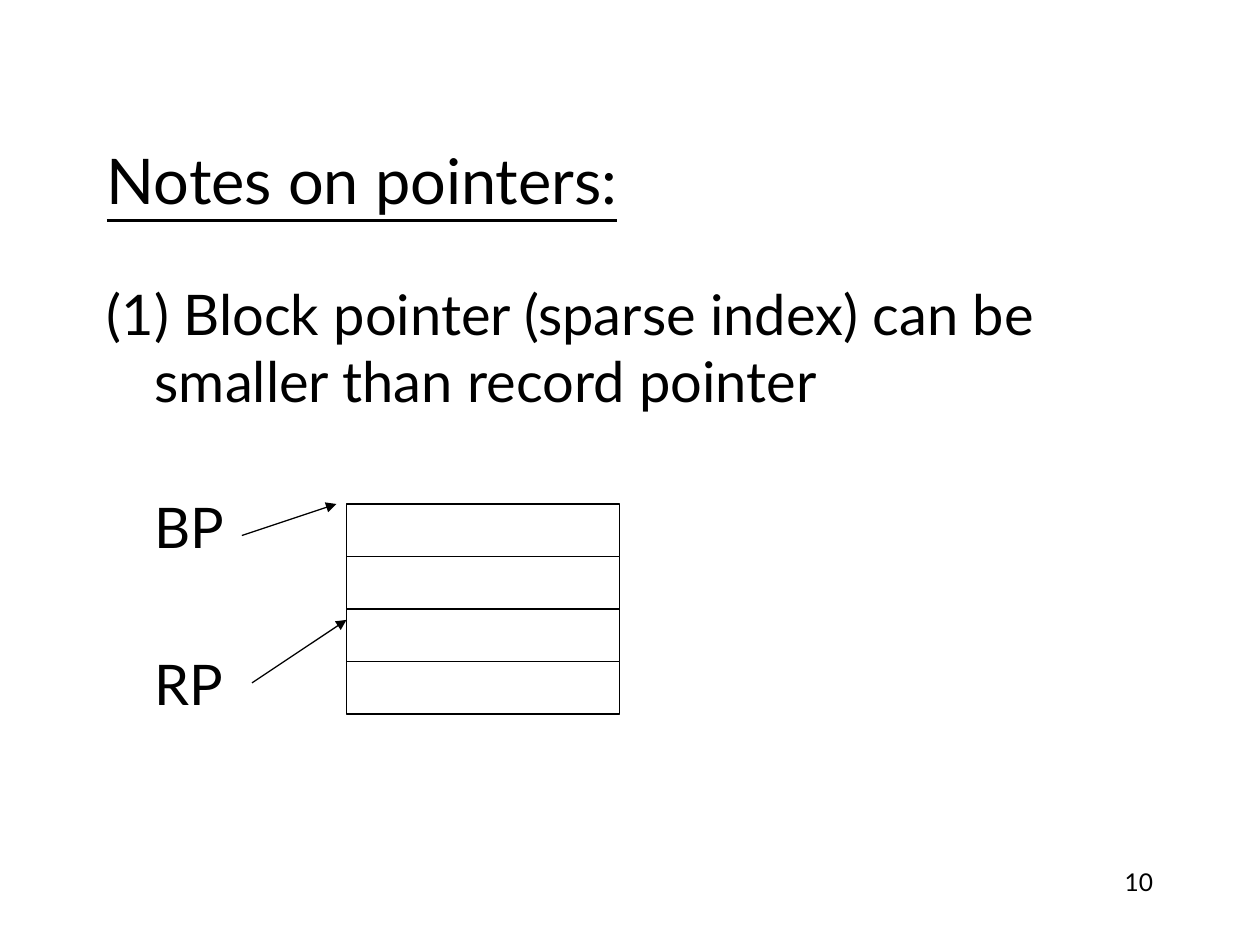
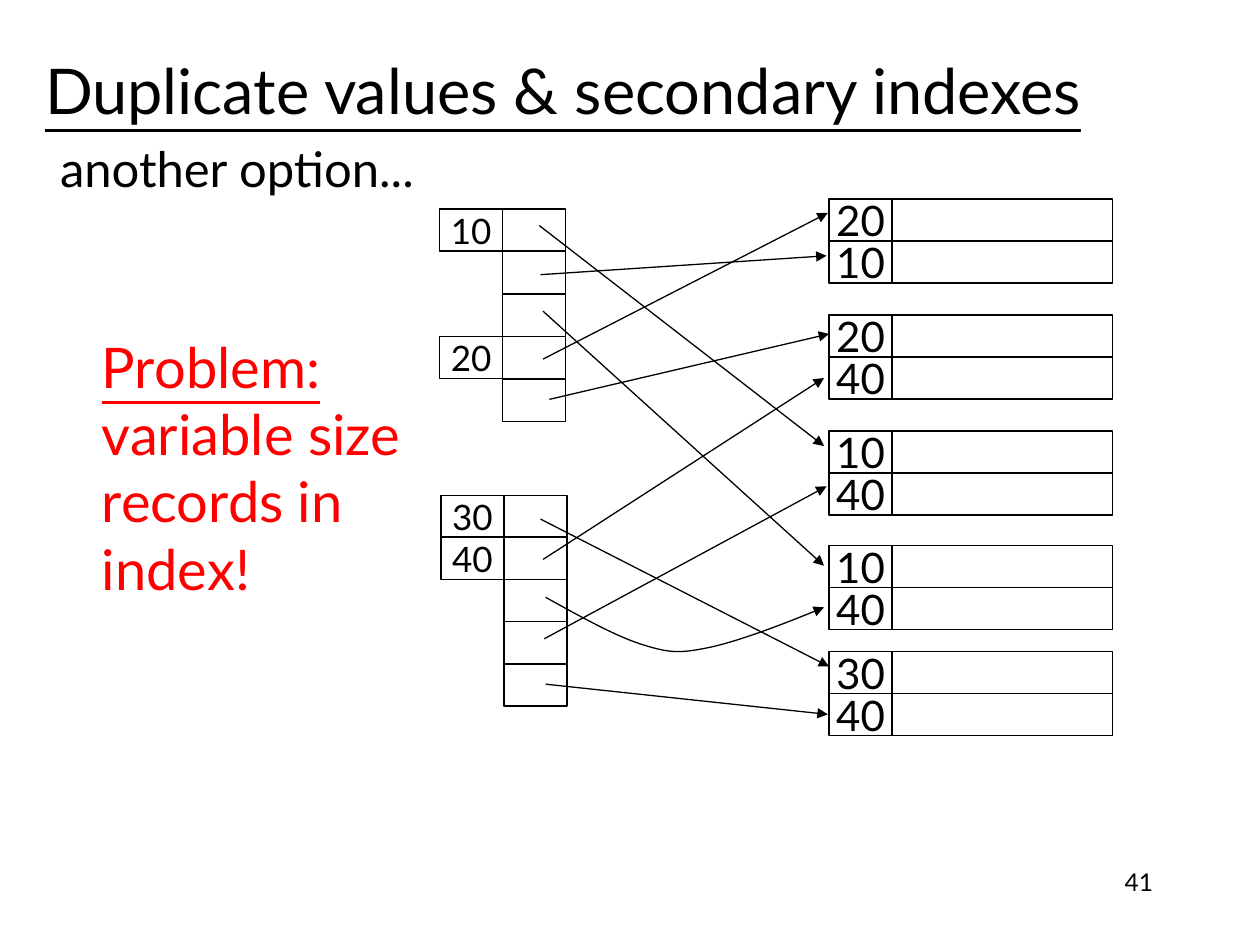
from dataclasses import dataclass
from typing import Any

import lxml.etree
import pptx
import pptx.dml.color
import pptx.enum.shapes
import pptx.enum.text
import pptx.oxml.ns
import pptx.util

Inches = pptx.util.Inches
Pt = pptx.util.Pt
Align = pptx.enum.text.PP_ALIGN
Anchor = pptx.enum.text.MSO_ANCHOR
qn = pptx.oxml.ns.qn

BLACK = pptx.dml.color.RGBColor(0x00, 0x00, 0x00)
WHITE = pptx.dml.color.RGBColor(0xFF, 0xFF, 0xFF)
RED = pptx.dml.color.RGBColor(0xFF, 0x00, 0x00)
FONT = "Lato"
THIN = Pt(0.75)
ROW = 1 / 3
KEY = 0.5

TITLE = {"size": Pt(36), "underline": True}
BODY = {"size": Pt(32)}
NOTE = {"size": Pt(28)}
FOOT = {"size": Pt(14)}
WARN = {"size": Pt(32), "color": RED}


@dataclass(frozen=True)
class Box:
    left: float
    top: float
    width: float
    height: float

    def place(self) -> tuple[int, ...]:
        return tuple(Inches(n) for n in (self.left, self.top, self.width, self.height))


@dataclass(frozen=True)
class Line:
    text: str
    before: float = 0
    indent: float = 0
    hang: float = 0
    under: bool = False


@dataclass(frozen=True)
class Stack:
    left: float
    top: float
    last: float
    keys: tuple[str, ...]


@dataclass(frozen=True)
class Block:
    top: float
    keys: tuple[str, str]


@dataclass(frozen=True)
class Arrow:
    x: float
    y: float
    to_x: float
    to_y: float


LINES = (
    Line("(1) Block pointer (sparse index) can be smaller than record pointer", indent=0.38, hang=0.38),
    Line("BP", before=45, indent=0.38),
    Line("RP", before=51, indent=0.38),
)
MARKS = (Arrow(2, 5.42, 2.75, 4.92), Arrow(1.92, 4.25, 2.67, 4))

ISSUE = (
    Line("Problem:", under=True),
    Line("variable size"),
    Line("records in"),
    Line("index!"),
)
STACKS = (
    Stack(3.49, 1.66, 3.01, ("10", "", "", "20", "")),
    Stack(3.5, 3.93, 5.27, ("30", "40", "", "", "")),
)
BLOCKS = (
    Block(1.58, ("20", "10")),
    Block(2.5, ("20", "40")),
    Block(3.42, ("10", "40")),
    Block(4.33, ("10", "40")),
    Block(5.17, ("30", "40")),
)
LINKS = (
    Arrow(4.28, 1.79, 6.54, 3.54),
    Arrow(4.29, 2.18, 6.56, 2.03),
    Arrow(4.31, 2.47, 6.54, 4.49),
    Arrow(4.31, 2.85, 6.57, 1.69),
    Arrow(4.36, 3.17, 6.58, 2.65),
    Arrow(4.29, 4.12, 6.58, 5.29),
    Arrow(4.31, 4.44, 6.54, 3),
    Arrow(4.33, 5.43, 6.57, 5.67),
    Arrow(4.32, 5.07, 6.56, 3.86),
)
CURVE = (
    (4.33, 4.74),
    (4.6, 4.89), (4.87, 5.04), (5.08, 5.11),
    (5.3, 5.18), (5.38, 5.19), (5.62, 5.14),
    (5.87, 5.09), (6.4, 4.88), (6.54, 4.82),
)


def apply(item: Any, form: dict[str, Any]) -> None:
    for name, value in form.items():
        if name == "color":
            item.color.rgb = value
        else:
            setattr(item, name, value)


def fill_text(frame: Any, lines: tuple[Line, ...], form: dict[str, Any], align: Any = Align.LEFT) -> None:
    for i, line in enumerate(lines):
        para = frame.paragraphs[0] if i == 0 else frame.add_paragraph()
        para.alignment = align
        if line.before:
            para.space_before = Pt(line.before)
        if line.indent:
            props = para._p.get_or_add_pPr()
            props.set("marL", str(Inches(line.indent)))
            props.set("indent", str(-Inches(line.hang)))
        run = para.add_run()
        run.text = line.text
        apply(run.font, {"name": FONT, "color": BLACK, "underline": line.under} | form)


def add_text(slide: Any, box: Box, lines: tuple[Line, ...], form: dict[str, Any],
             align: Any = Align.LEFT, anchor: Any = Anchor.MIDDLE, wrap: bool = True) -> None:
    frame = slide.shapes.add_textbox(*box.place()).text_frame
    apply(frame, {"word_wrap": wrap, "vertical_anchor": anchor})
    fill_text(frame, lines, form, align)


def add_cell(slide: Any, box: Box, text: str = "", size: float = 24) -> None:
    cell = slide.shapes.add_shape(pptx.enum.shapes.MSO_SHAPE.RECTANGLE, *box.place())
    cell.shadow.inherit = False
    cell.fill.solid()
    cell.fill.fore_color.rgb = WHITE
    apply(cell.line, {"color": BLACK, "width": THIN})
    if text:
        sides = ("left", "right", "top", "bottom")
        form = {f"margin_{side}": 0 for side in sides}
        apply(cell.text_frame, form | {"word_wrap": False, "vertical_anchor": Anchor.MIDDLE})
        fill_text(cell.text_frame, (Line(text),), {"size": Pt(size)}, Align.CENTER)


def add_head(shape: Any) -> None:
    apply(shape.line, {"width": THIN})
    shape.line.color.rgb = BLACK
    edge = shape._element.spPr.find(qn("a:ln"))
    lxml.etree.SubElement(edge, qn("a:tailEnd"), type="triangle")


def add_arrow(slide: Any, arrow: Arrow) -> None:
    ends = (Inches(n) for n in (arrow.x, arrow.y, arrow.to_x, arrow.to_y))
    link = slide.shapes.add_connector(pptx.enum.shapes.MSO_CONNECTOR.STRAIGHT, *ends)
    add_head(link)
    lxml.etree.SubElement(link._element.spPr, qn("a:effectLst"))


def add_curve(slide: Any, points: tuple[tuple[float, float], ...]) -> None:
    spots = [(Inches(x), Inches(y)) for x, y in points]
    pen = slide.shapes.build_freeform(*spots[0])
    pen.add_line_segments(spots[1:], close=False)
    curve = pen.convert_to_shape()
    curve.shadow.inherit = False
    curve.fill.background()
    add_head(curve)
    parts = list(curve._element.iter(qn("a:lnTo")))
    trace = parts[0].getparent()
    for i in range(0, len(parts), 3):
        bend = lxml.etree.SubElement(trace, qn("a:cubicBezTo"))
        for part in parts[i:i + 3]:
            bend.append(part[0])
            trace.remove(part)


def add_slide(deck: Any, title: str, box: Box, page: str) -> Any:
    slide = deck.slides.add_slide(deck.slide_layouts[6])
    add_text(slide, Box(7.17, 6.83, 2.08, 0.5), (Line(page),), FOOT, Align.RIGHT, Anchor.TOP)
    add_text(slide, box, (Line(title),), TITLE)
    return slide


def add_notes(deck: Any) -> None:
    slide = add_slide(deck, "Notes on pointers:", Box(0.75, 0.92, 8.5, 1), "10")
    add_text(slide, Box(0.75, 2.17, 8.5, 4.5), LINES, BODY, anchor=Anchor.TOP)
    tall = 5 / 12
    for i in range(4):
        add_cell(slide, Box(2.75, 4 + i * tall, 2.17, tall))
    for mark in MARKS:
        add_arrow(slide, mark)


def add_index(deck: Any) -> None:
    slide = add_slide(deck, "Duplicate values & secondary indexes", Box(0.26, 0.21, 8.67, 0.99), "41")
    add_text(slide, Box(0.34, 1.05, 3.08, 0.57), (Line("another option..."),), NOTE, Align.CENTER, wrap=False)
    for block in BLOCKS:
        for i, key in enumerate(block.keys):
            top = block.top + i * ROW
            add_cell(slide, Box(6.58, top, KEY, ROW), key)
            add_cell(slide, Box(6.58 + KEY, top, 1.75, ROW))
    for stack in STACKS:
        step = (stack.last - stack.top) / (len(stack.keys) - 1)
        for i, key in enumerate(stack.keys):
            top = stack.top + i * step
            if key:
                add_cell(slide, Box(stack.left, top, KEY, ROW), key, 20)
            add_cell(slide, Box(stack.left + KEY, top, KEY, ROW))
    for link in LINKS:
        add_arrow(slide, link)
    add_curve(slide, CURVE)
    add_text(slide, Box(0.71, 2.59, 2.61, 2.23), ISSUE, WARN, wrap=False)


def main() -> None:
    deck = pptx.Presentation()
    apply(deck, {"slide_width": Inches(10), "slide_height": Inches(7.5)})
    add_notes(deck)
    add_index(deck)
    deck.save("out.pptx")


if __name__ == "__main__":
    main()
